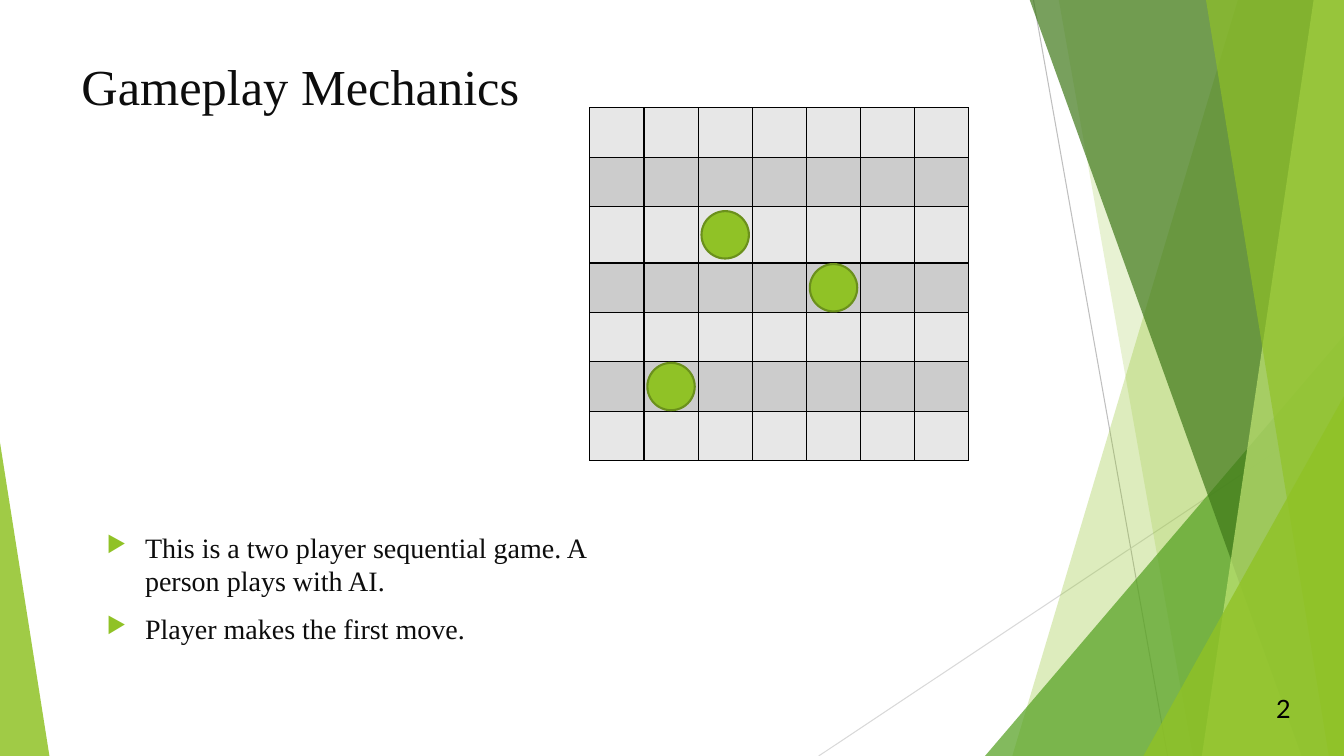
from pptx import Presentation
from pptx.dml.color import RGBColor
from pptx.enum.shapes import MSO_CONNECTOR, MSO_SHAPE
from pptx.enum.text import MSO_ANCHOR
from pptx.oxml import parse_xml
from pptx.oxml.ns import nsdecls
from pptx.util import Inches, Pt
from lxml.etree import SubElement

WIDE, HIGH = 13.33, 7.5
LIME, INK, SERIF = "90C226", "0D0D0D", "Times New Roman"
RAYS = [((10.25, 0), (11.58, HIGH), "BFBFBF"), ((WIDE, 4.03), (8.12, HIGH), "D9D9D9")]
FACETS = [
    ("band", 12.28, 10.04, LIME, 30),
    ("band", 10.5, 11.83, LIME, 20),
    ("peak", 9.77, 3.33, WIDE - 9.77, 1, "54A021", 72),
    ("band", 10.21, 12.91, "3F7819", 70),
    ("band", 13.03, 11.92, "C0E474", 70),
    ("band", 11.96, 13.18, LIME, 65),
    ("peak", 11.34, 3.93, WIDE - 11.34, 1, LIME, 80),
    ("peak", 0, 4.39, 0.49, 0, LIME, 85),
]
TITLE = "Gameplay Mechanics"
RULES = ["This is a two player sequential game. A person plays with AI.",
         "Player makes the first move."]
LEFT, TOP, SPAN, COLS = 5.85, 1.07, 3.76, 7
ROWS = [0.49, 0.49, 0.56, 0.49, 0.49, 0.49, 0.49]
SHADES = ["E7E7E7", "CCCCCC"]
DISCS = [(2, 2), (4, 3), (1, 5)]
DISC = 0.47


def color(code):
    return RGBColor.from_string(code)


def paint(shape, code, alpha=100, edge=None):
    shape.shadow.inherit = False
    shape.fill.solid()
    shape.fill.fore_color.rgb = color(code)
    if alpha < 100:
        tint = shape.fill._xPr.find(".//{*}srgbClr")
        SubElement(tint, tint.tag.replace("srgbClr", "alpha"), val=str(alpha * 1000))
    if edge:
        shape.line.color.rgb = color(edge)
        shape.line.width = Pt(1.5)
    else:
        shape.line.fill.background()


def ray(shapes, start, end, code):
    line = shapes.add_connector(MSO_CONNECTOR.STRAIGHT, *map(Inches, start + end))
    line.line.color.rgb = color(code)
    line.line.width = Pt(0.75)
    line._element.spPr.append(parse_xml(f"<a:effectLst {nsdecls('a')}/>"))


def band(shapes, high, low, code, alpha):
    dots = [(high, -0.01), (WIDE, -0.01), (WIDE, HIGH), (low, HIGH)]
    dots = [tuple(map(Inches, dot)) for dot in dots]
    form = shapes.build_freeform(*dots[0])
    form.add_line_segments(dots[1:], close=True)
    paint(form.convert_to_shape(), code, alpha)


def peak(shapes, left, top, width, tip, code, alpha):
    box = map(Inches, (left, top, width, HIGH - top))
    shape = shapes.add_shape(MSO_SHAPE.ISOSCELES_TRIANGLE, *box)
    shape.adjustments[0] = tip
    paint(shape, code, alpha)


def write(shapes, box, lines, size, face=SERIF, code=INK, wrap=True):
    frame = shapes.add_textbox(*map(Inches, box)).text_frame
    frame.word_wrap = wrap
    frame.vertical_anchor = MSO_ANCHOR.TOP
    frame.text = "\n".join(lines)
    for para in frame.paragraphs:
        for key, value in {"size": Pt(size), "name": face}.items():
            setattr(para.runs[0].font, key, value)
        para.runs[0].font.color.rgb = color(code)
    return frame.paragraphs


def bullet(para):
    para.space_before = Pt(10)
    props = para._p.get_or_add_pPr()
    props.set("marL", str(Inches(0.38)))
    props.set("indent", str(-Inches(0.38)))
    for part in (f"<a:buClr {nsdecls('a')}><a:srgbClr val='{LIME}'/></a:buClr>",
                 f"<a:buSzPct {nsdecls('a')} val='80000'/>",
                 f"<a:buChar {nsdecls('a')} char='▶'/>"):
        props.append(parse_xml(part))


def border(cell):
    props = cell._tc.get_or_add_tcPr()
    for side in "LRTB":
        props.append(parse_xml(
            f"<a:ln{side} {nsdecls('a')} w='{Pt(1)}'><a:solidFill>"
            f"<a:srgbClr val='000000'/></a:solidFill></a:ln{side}>"))


def board(shapes):
    box = map(Inches, (LEFT, TOP, SPAN, sum(ROWS)))
    table = shapes.add_table(len(ROWS), COLS, *box).table
    for col in table.columns:
        col.width = Inches(SPAN / COLS)
    for index, (row, height) in enumerate(zip(table.rows, ROWS)):
        row.height = Inches(height)
        for cell in row.cells:
            border(cell)
            cell.fill.solid()
            cell.fill.fore_color.rgb = color(SHADES[index % 2])
    step = SPAN / COLS
    for col, row in DISCS:
        left = LEFT + col * step + (step - DISC) / 2
        top = TOP + sum(ROWS[:row]) + (ROWS[row] - DISC) / 2
        box = map(Inches, (left, top, DISC, DISC))
        paint(shapes.add_shape(MSO_SHAPE.OVAL, *box), LIME, edge="6B901C")


def main():
    """Build the gameplay slide and save it."""
    deck = Presentation()
    deck.slide_width, deck.slide_height = Inches(WIDE), Inches(HIGH)
    shapes = deck.slides.add_slide(deck.slide_layouts[6]).shapes
    for line in RAYS:
        ray(shapes, *line)
    draw = {"band": band, "peak": peak}
    for kind, *rest in FACETS:
        draw[kind](shapes, *rest)
    write(shapes, (0.71, 0.5, 10.29, 1.53), [TITLE], 36)
    for para in write(shapes, (0.96, 5.21, 5.12, 4.59), RULES, 20):
        bullet(para)
    board(shapes)
    write(shapes, (12.56, 6.83, 0.34, 0.4), ["2"], 18, "Lato", "000000", False)
    deck.save("out.pptx")


if __name__ == "__main__":
    main()
